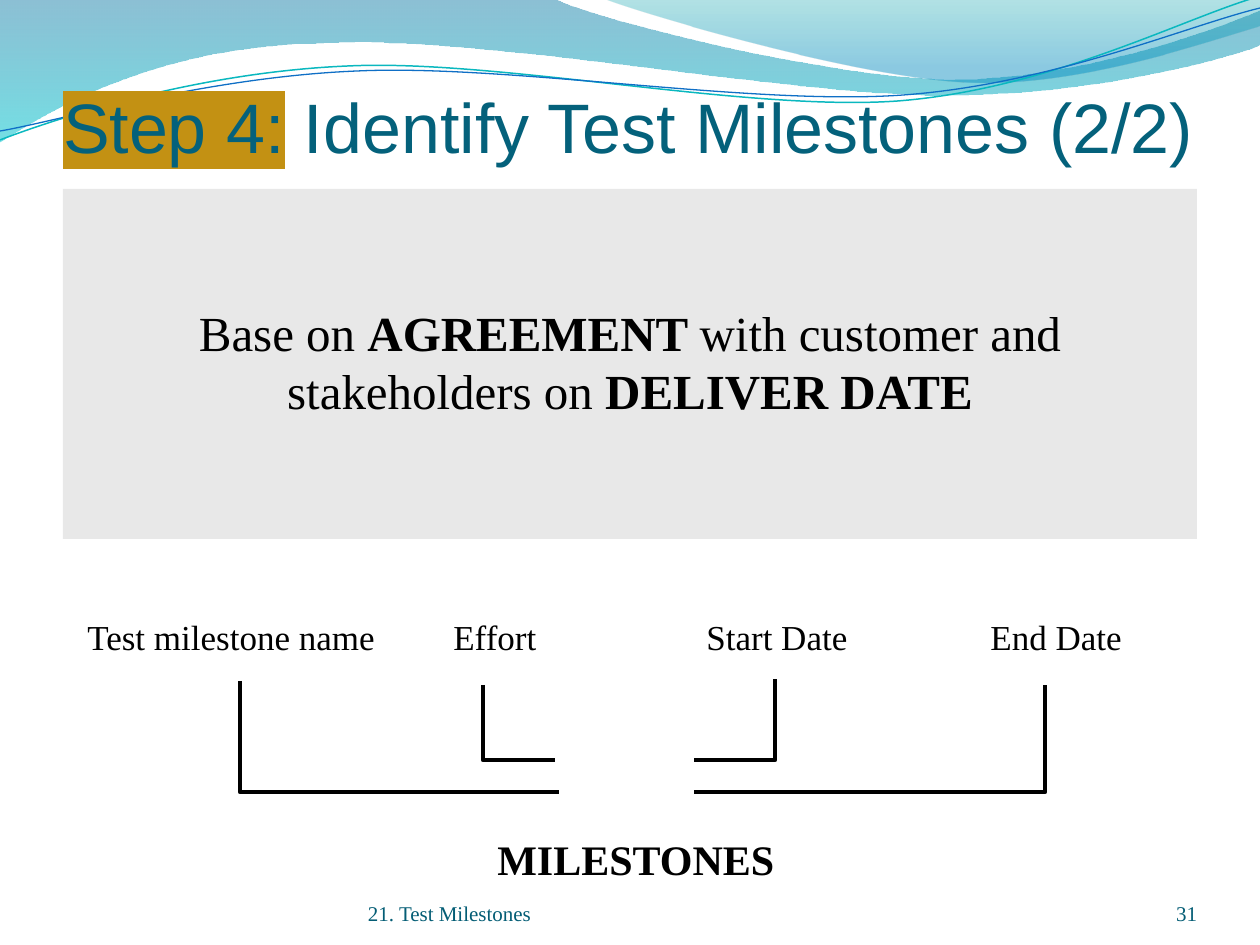
import math
from lxml import etree
from pptx import Presentation, util as u
from pptx.dml.color import RGBColor
from pptx.enum import shapes, text
from pptx.oxml.ns import qn

PX = u.Inches(1) / 126
SERIF = "Times New Roman"
HEX = {"title": "04617B", "mark": "C39113", "foot": "045D75", "panel": "E8E8E8",
       "ink": "000000", "teal": "0AB8BF", "blue": "0F6FC6",
       "deep": "0074A1", "aqua": "00C6CF", "sea": "00A1A9", "sky": "008BBF"}

TITLE = ("Step 4:", " Identify Test Milestones (2/2)")
CLAIM = [("Base on ", False), ("AGREEMENT ", True),
         ("with customer and stakeholders on ", False), ("DELIVER DATE", True)]
LABELS = [("Test milestone name", 75, 355), ("Effort", 441, 136),
          ("Start Date", 694, 198), ("End Date", 978, 198)]
FOOT = [("21. Test Milestones", 368, 462, text.PP_ALIGN.LEFT),
        ("31", 1092, 105, text.PP_ALIGN.RIGHT)]
BRACKETS = [(483, 685, 555, 760), (240, 681, 559, 792),
            (775, 679, 694, 760), (1045, 685, 694, 792)]

BANDS = [
    ([(0, 0), (554, -1), (600, 21, 837, 79, 955, 79), (1075, 79, 1207, 33, 1260, 11),
      (1261, 45), (1239, 55, 1096, 96, 940, 95), (784, 95, 481, 35, 324, 43),
      (163, 45, 58, 105, -1, 142)],
     [(0, "deep", 45), (1, "aqua", 55)]),
    ([(604, -1), (641, 14, 859, 78, 969, 82), (1079, 87, 1211, 40, 1260, 26), (1260, 0)],
     [(0, "sea", 30), (0.8, "sky", 45)]),
]
STROKES = [
    ([(0, 140), (60, 117, 199, 72, 349, 66), (498, 59, 747, 112, 898, 101),
      (1050, 89, 1182, 19, 1257, -3)], "teal", 0.85),
    ([(0, 131), (59, 121, 207, 77, 357, 71), (508, 64, 752, 106, 903, 95),
      (1053, 84, 1186, 26, 1260, 8)], "blue", 0.75),
]
TILT = 2.7
PIVOT = (629, 73)


def rgb(name):
    return RGBColor.from_string(HEX[name])


def emu(*vals):
    return [round(v * PX) for v in vals]


def turn(x, y, angle):
    cos, sin = math.cos(math.radians(angle)), math.sin(math.radians(angle))
    x, y = x - PIVOT[0], y - PIVOT[1]
    return emu(PIVOT[0] + x * cos - y * sin, PIVOT[1] + x * sin + y * cos)


def curve(path, close, tilt=0):
    segs = [[turn(*seg[i:i + 2], tilt) for i in range(0, len(seg), 2)] for seg in path]
    form = slide.shapes.build_freeform(*segs[0][0], scale=1.0)
    form.add_line_segments([seg[-1] for seg in segs[1:]], close=close)
    shape = form.convert_to_shape()
    shape.shadow.inherit = False
    lines = list(shape._element.iter(qn("a:lnTo")))
    for line, seg in zip(lines, segs[1:]):
        if len(seg) == 3:
            line.tag = qn("a:cubicBezTo")
            for old in list(line):
                line.remove(old)
            for x, y in seg:
                point = etree.SubElement(line, qn("a:pt"))
                point.set("x", str(x - shape.left))
                point.set("y", str(y - shape.top))
    shape.rotation = -tilt % 360
    return shape


def style(para, size, color, face=SERIF, bold=False):
    font = para.font
    font.size, font.name, font.bold = u.Pt(size), face, bold
    font.color.rgb = rgb(color)


def inset(frame, left, top, right, low):
    (frame.margin_left, frame.margin_top,
     frame.margin_right, frame.margin_bottom) = emu(left, top, right, low)


def label(words, box, size, color="ink", bold=False):
    frame = slide.shapes.add_textbox(*emu(*box)).text_frame
    frame.word_wrap = True
    para = frame.paragraphs[0]
    para.text = words
    style(para, size, color, bold=bold)
    return frame


deck = Presentation()
deck.slide_width, deck.slide_height = u.Inches(10), u.Inches(7.5)
slide = deck.slides.add_slide(deck.slide_layouts[5])

for path, stops in BANDS:
    band = curve(path, True)
    band.line.fill.background()
    band.fill.gradient()
    band.fill.gradient_angle = 270
    for stop, (pos, color, alpha) in zip(band.fill.gradient_stops, stops):
        stop.position = pos
        stop.color.rgb = rgb(color)
    marks = band._element.spPr.iter(qn("a:srgbClr"))
    for mark, (pos, color, alpha) in zip(marks, stops):
        etree.SubElement(mark, qn("a:alpha")).set("val", str(alpha * 1000))

for path, color, width in STROKES:
    wave = curve(path, False, TILT)
    wave.fill.background()
    wave.line.color.rgb = rgb(color)
    wave.line.width = u.Pt(width)

title = slide.shapes.title
slide.shapes._spTree.append(title._element)
title.left, title.top, title.width, title.height = emu(63, 55, 1134, 113)
frame = title.text_frame
frame.word_wrap = True
frame.auto_size = text.MSO_AUTO_SIZE.NONE
frame.vertical_anchor = text.MSO_ANCHOR.BOTTOM
inset(frame, 0, 6, 0, 0)
para = frame.paragraphs[0]
para.alignment = text.PP_ALIGN.LEFT
for words in TITLE:
    para.add_run().text = words
style(para, 40, "title", "Arial")
glow = etree.SubElement(para.runs[0].font._element, qn("a:highlight"))
etree.SubElement(glow, qn("a:srgbClr")).set("val", HEX["mark"])

for words, left, width, side in FOOT:
    frame = label(words, (left, 876, width, 50), 12, "foot")
    frame.vertical_anchor = text.MSO_ANCHOR.BOTTOM
    frame.paragraphs[0].alignment = side
    inset(frame, 0, 0, 0, 0)

panel = slide.shapes.add_shape(shapes.MSO_SHAPE.RECTANGLE, *emu(63, 189, 1134, 350))
panel.shadow.inherit = False
panel.fill.solid()
panel.fill.fore_color.rgb = rgb("panel")
panel.line.fill.background()
frame = panel.text_frame
frame.word_wrap = True
frame.vertical_anchor = text.MSO_ANCHOR.MIDDLE
inset(frame, 13, 0, 13, 6)
para = frame.paragraphs[0]
para.alignment = text.PP_ALIGN.CENTER
style(para, 28, "ink")
for words, bold in CLAIM:
    run = para.add_run()
    run.text, run.font.bold = words, bold

for words, left, width in LABELS:
    label(words, (left, 609, width, 55), 20)

for ends in BRACKETS:
    line = slide.shapes.add_connector(shapes.MSO_CONNECTOR.ELBOW, *emu(*ends))
    line.line.color.rgb = rgb("ink")
    line.line.width = u.Pt(2.75)
    props = line._element.spPr
    bend = etree.SubElement(props.find(qn("a:prstGeom")).find(qn("a:avLst")), qn("a:gd"))
    bend.set("name", "adj1")
    bend.set("fmla", "val 0")
    etree.SubElement(props, qn("a:effectLst"))

label("MILESTONES", (485, 827, 302, 63), 24, bold=True)
deck.save("out.pptx")
